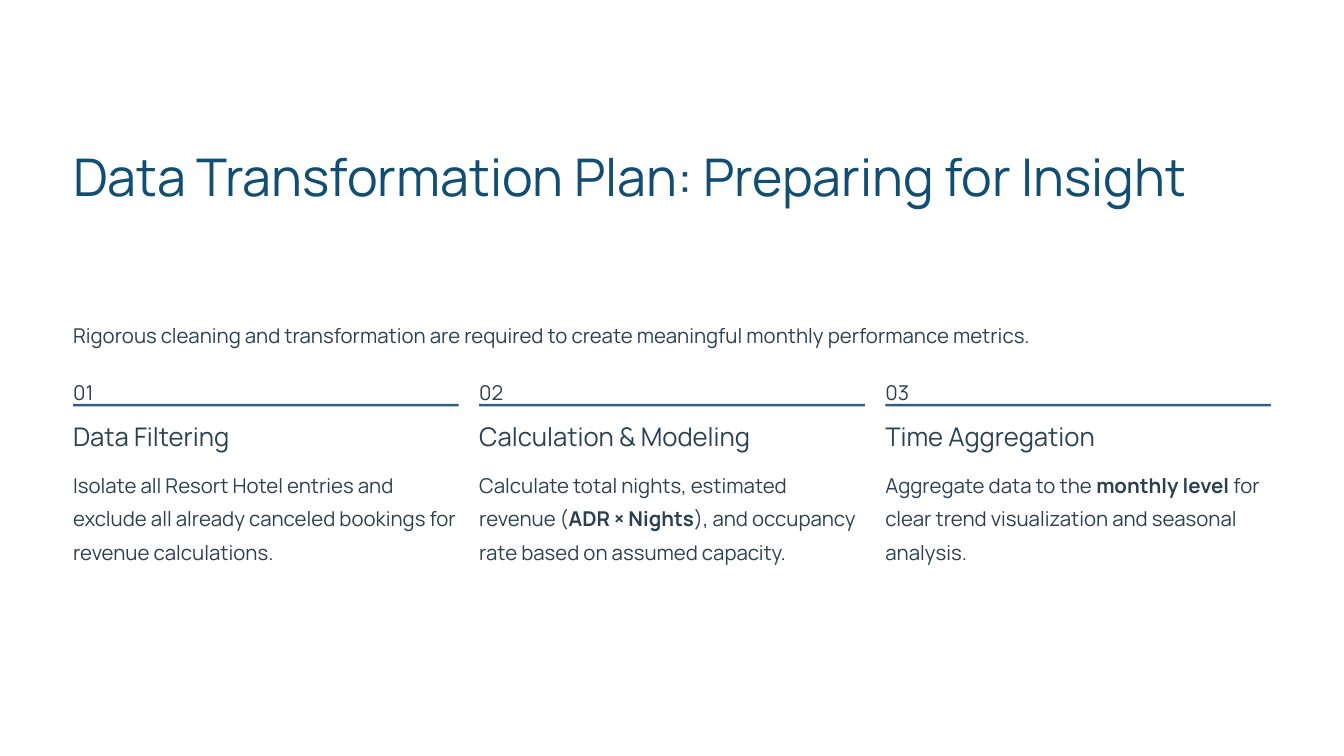
from pptx import Presentation
from pptx.dml.color import RGBColor
from pptx.enum.shapes import MSO_SHAPE
from pptx.util import Inches, Pt

WHITE = RGBColor(0xFF, 0xFF, 0xFF)
TITLE_BLUE = RGBColor(0x12, 0x4E, 0x73)
RULE_BLUE = RGBColor(0x32, 0x5F, 0x7B)
SLATE = RGBColor(0x2B, 0x41, 0x50)

SLIDE_WIDTH, SLIDE_HEIGHT = 16, 9
LEFT, CONTENT_WIDTH = 0.87, 14.26
COLUMN_WIDTH = 4.59
COLUMN_GAP = (CONTENT_WIDTH - 3 * COLUMN_WIDTH) / 2

TITLE = {"size": Pt(44.5), "color": TITLE_BLUE, "spacing": Pt(55.5)}
HEADING = {"size": Pt(22), "color": SLATE, "spacing": Pt(27.5)}
BODY = {"size": Pt(17.5), "color": SLATE, "spacing": Pt(28.5)}

STEPS = [
    ("01", "Data Filtering", 3.1, 1.19,
     ["Isolate all Resort Hotel entries and exclude all already canceled "
      "bookings for revenue calculations."]),
    ("02", "Calculation & Modeling", 3.65, 1.59,
     ["Calculate total nights, estimated revenue (", "ADR × Nights",
      "), and occupancy rate based on assumed capacity."]),
    ("03", "Time Aggregation", 3.1, 1.19,
     ["Aggregate data to the ", "monthly level",
      " for clear trend visualization and seasonal analysis."]),
]

prs = Presentation()
prs.slide_width, prs.slide_height = Inches(SLIDE_WIDTH), Inches(SLIDE_HEIGHT)
slide = prs.slides.add_slide(prs.slide_layouts[6])


def add_bar(left, top, width, height, color):
    """Add a filled rectangle without outline or shadow."""
    bar = slide.shapes.add_shape(
        MSO_SHAPE.RECTANGLE, Inches(left), Inches(top),
        Inches(width), Inches(height))
    bar.shadow.inherit = False
    bar.fill.solid()
    bar.fill.fore_color.rgb = color
    bar.line.fill.background()


def add_text(parts, left, top, width, height, style, wrap=False):
    """Add one paragraph; every second part is bold."""
    box = slide.shapes.add_textbox(
        Inches(left), Inches(top), Inches(width), Inches(height))
    frame = box.text_frame
    frame.word_wrap = wrap
    for side in ("left", "top", "right", "bottom"):
        setattr(frame, f"margin_{side}", 0)
    paragraph = frame.paragraphs[0]
    paragraph.line_spacing = style["spacing"]
    for index, part in enumerate(parts):
        run = paragraph.add_run()
        run.text = part
        run.font.name = "Manrope"
        run.font.size = style["size"]
        run.font.bold = index % 2 == 1
        run.font.color.rgb = style["color"]


add_bar(0, 0, SLIDE_WIDTH, SLIDE_HEIGHT, WHITE)
add_text(["Data Transformation Plan: Preparing for Insight"],
         LEFT, 1.69, CONTENT_WIDTH, 1.55, TITLE, wrap=True)
add_text(["Rigorous cleaning and transformation are required to create "
          "meaningful monthly performance metrics."],
         LEFT, 3.74, CONTENT_WIDTH, 0.4, BODY)

for column, (number, heading, heading_width, body_height, body) in enumerate(STEPS):
    left = LEFT + column * (COLUMN_WIDTH + COLUMN_GAP)
    add_text([number], left, 4.42, 0.32, 0.31, BODY)
    add_bar(left, 4.81, COLUMN_WIDTH, 0.03, RULE_BLUE)
    add_text([heading], left, 5, heading_width, 0.39, HEADING)
    add_text(body, left, 5.53, COLUMN_WIDTH, body_height, BODY, wrap=True)

prs.save("out.pptx")
